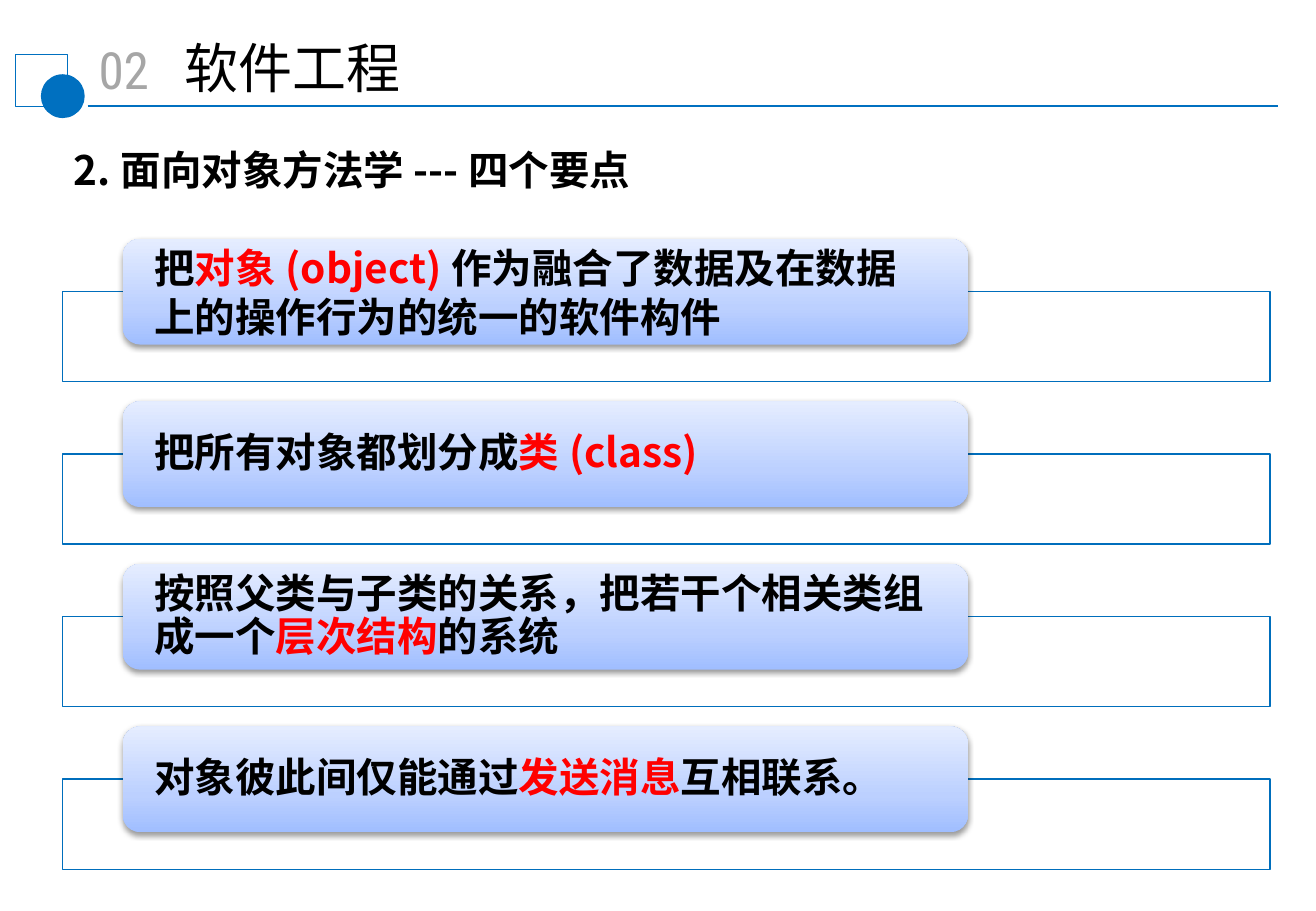
from pptx import Presentation
from pptx.dml.color import RGBColor
from pptx.enum.shapes import MSO_CONNECTOR, MSO_SHAPE
from pptx.enum.text import MSO_ANCHOR, MSO_AUTO_SIZE, PP_ALIGN
from pptx.oxml import parse_xml
from pptx.oxml.ns import nsdecls, qn
from pptx.util import Pt

BLUE = RGBColor(0x00, 0x70, 0xC0)
FRAME_BLUE = RGBColor(0x00, 0x6E, 0xBC)
GRAY = RGBColor(0xA6, 0xA6, 0xA6)
BLACK = RGBColor(0x00, 0x00, 0x00)
RED = RGBColor(0xFF, 0x00, 0x00)
WHITE = RGBColor(0xFF, 0xFF, 0xFF)
CARD_STOPS = [
    (0, RGBColor(0xA0, 0xBE, 0xFF)),
    (35, RGBColor(0xBC, 0xD0, 0xFF)),
    (100, RGBColor(0xE5, 0xED, 0xFF)),
]
CHINESE_FONT = "Noto Sans CJK SC"

CARD_PITCH = 96.35
CARDS = [
    (1.0, [("把", BLACK), ("对象(object)", RED),
           ("作为融合了数据及在数据上的操作行为的统一的软件构件", BLACK)]),
    (0.9, [("把所有对象都划分成", BLACK), ("类(class)", RED)]),
    (0.9, [("按照父类与子类的关系，把若干个相关类组成一个", BLACK),
           ("层次结构", RED), ("的系统", BLACK)]),
    (0.9, [("对象彼此间仅能通过", BLACK), ("发送消息", RED),
           ("互相联系。", BLACK)]),
]


class SlideBuilder:
    """Draws styled elements on the current page, with lengths in points."""

    def __init__(self, deck):
        self.page = deck.slides.add_slide(deck.slide_layouts[5])

    def style_text(self, box, spans, size, font=CHINESE_FONT, bold=False,
                   align=PP_ALIGN.LEFT, anchor=MSO_ANCHOR.MIDDLE,
                   inset=7.2, inset_y=3.6, spacing=1.0):
        frame = box.text_frame
        frame.word_wrap = True
        frame.auto_size = MSO_AUTO_SIZE.NONE
        frame.vertical_anchor = anchor
        frame.margin_left = frame.margin_right = Pt(inset)
        frame.margin_top = frame.margin_bottom = Pt(inset_y)
        para = frame.paragraphs[0]
        para.alignment = align
        para.line_spacing = spacing
        para.space_before = Pt(0)
        para.font.name = font
        para.font.size = Pt(size)
        para.font.bold = bold
        latin = para.font._element.find(qn("a:latin"))
        latin.addnext(parse_xml(
            f'<a:ea {nsdecls("a")} typeface="{CHINESE_FONT}"/>'))
        for text, color in spans:
            span = para.add_run()
            span.text = text
            span.font.color.rgb = color

    def title(self, text, left, top, width, height):
        box = self.page.shapes.title
        box.left, box.top, box.width, box.height = map(
            Pt, (left, top, width, height))
        self.style_text(box, [(text, BLACK)], 32, font="Arial", inset=7.9)

    def label(self, text, left, top, width, height, size, color, **style):
        box = self.page.shapes.add_textbox(*map(Pt, (left, top, width, height)))
        self.style_text(box, [(text, color)], size, **style)

    def shape(self, kind, left, top, width, height, fill=None, line=None):
        shape = self.page.shapes.add_shape(
            kind, *map(Pt, (left, top, width, height)))
        shape.shadow.inherit = False
        if fill is None:
            shape.fill.background()
        else:
            shape.fill.solid()
            shape.fill.fore_color.rgb = fill
        if line is None:
            shape.line.fill.background()
        else:
            shape.line.color.rgb = line
            shape.line.width = Pt(0.75)
        return shape

    def rule(self, left, right, y, color):
        line = self.page.shapes.add_connector(
            MSO_CONNECTOR.STRAIGHT, Pt(left), Pt(y), Pt(right), Pt(y))
        line.line.color.rgb = color
        line.line.width = Pt(1.25)
        line._element.spPr.append(
            parse_xml(f'<a:effectLst {nsdecls("a")}/>'))

    def frame(self, left, top, width, height):
        frame = self.shape(MSO_SHAPE.RECTANGLE, left, top, width, height,
                           fill=WHITE, line=FRAME_BLUE)
        color = frame._element.spPr.find(qn("a:solidFill"))[0]
        color.append(parse_xml(f'<a:alpha {nsdecls("a")} val="90000"/>'))

    def card(self, spans, left, top, width, height, spacing):
        card = self.shape(MSO_SHAPE.ROUNDED_RECTANGLE,
                          left, top, width, height)
        properties = card._element.spPr
        stops = "".join(
            f'<a:gs pos="{position * 1000}"><a:srgbClr val="{color}"/></a:gs>'
            for position, color in CARD_STOPS)
        gradient = parse_xml(
            f'<a:gradFill {nsdecls("a")} rotWithShape="1">'
            f'<a:gsLst>{stops}</a:gsLst>'
            '<a:lin ang="16200000" scaled="0"/></a:gradFill>')
        properties.replace(properties.find(qn("a:noFill")), gradient)
        shadow = parse_xml(
            f'<a:outerShdw {nsdecls("a")} blurRad="{Pt(3.1)}" '
            f'dist="{Pt(1.6)}" dir="5400000" rotWithShape="0">'
            '<a:srgbClr val="000000"><a:alpha val="38000"/></a:srgbClr>'
            '</a:outerShdw>')
        properties.find(qn("a:effectLst")).append(shadow)
        self.style_text(card, spans, 24, bold=True, inset=15.7, inset_y=0,
                        spacing=spacing)


def main():
    deck = Presentation()
    deck.slide_width, deck.slide_height = Pt(780), Pt(540)
    builder = SlideBuilder(deck)

    builder.rule(52, 757.5, 63, BLUE)
    builder.shape(MSO_SHAPE.RECTANGLE, 9.2, 32.2, 31, 31, line=BLUE)
    builder.shape(MSO_SHAPE.OVAL, 24.2, 44, 26, 26, fill=BLUE)
    builder.label("02", 37.4, 19.4, 72, 44.6, 30.4, GRAY,
                  font="Roboto Condensed", align=PP_ALIGN.CENTER,
                  anchor=MSO_ANCHOR.TOP)
    builder.title("软件工程", 101.5, 16.3, 356.4, 46.8)
    builder.label("2.面向对象方法学---四个要点", 36.7, 82.8, 424.8, 35.3, 24,
                  BLACK, bold=True)

    for index, (spacing, spans) in enumerate(CARDS):
        offset = index * CARD_PITCH
        builder.frame(36.9, 172.8 + offset, 715.9, 53.4)
        builder.card(spans, 72.8, 141.6 + offset, 501, 62.7, spacing)

    deck.save("out.pptx")


if __name__ == "__main__":
    main()
